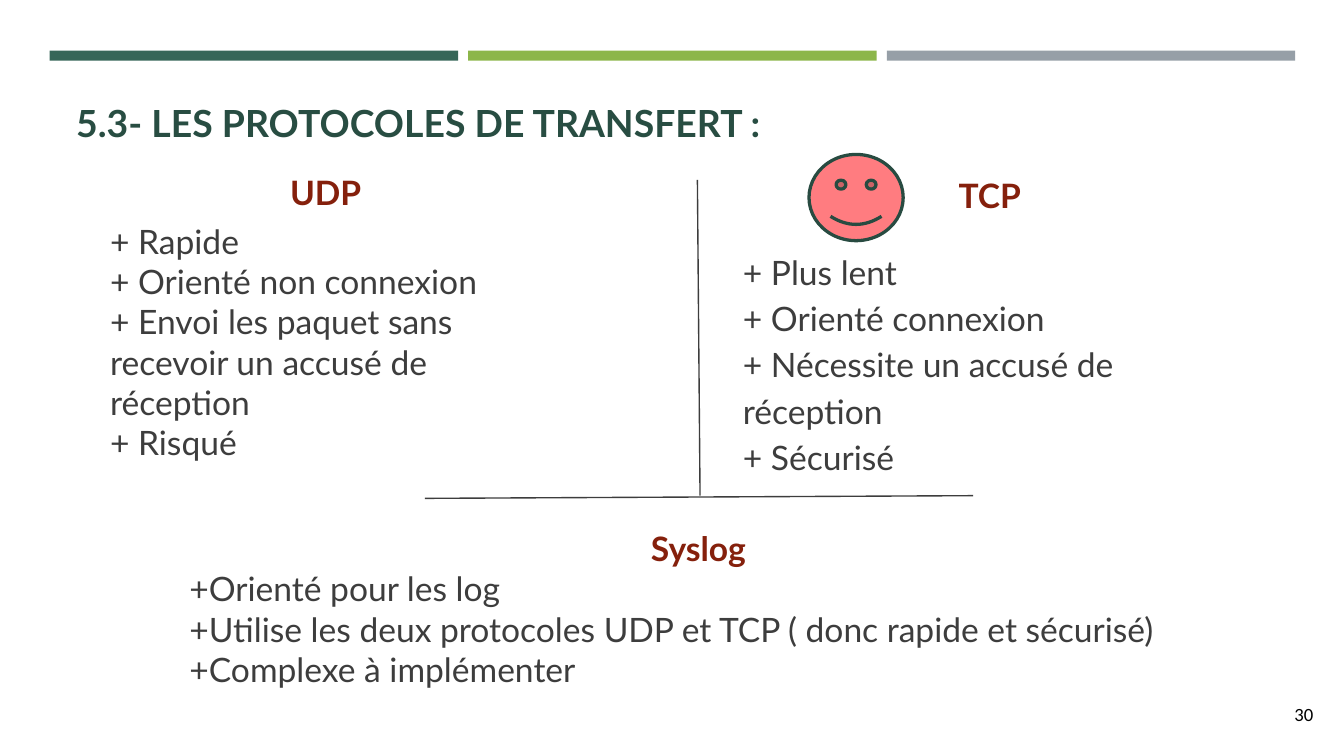
from dataclasses import dataclass

from lxml import etree
from pptx import Presentation
from pptx.dml.color import RGBColor
from pptx.enum.shapes import MSO_CONNECTOR, MSO_SHAPE
from pptx.enum.text import MSO_ANCHOR, MSO_AUTO_SIZE, PP_ALIGN
from pptx.oxml.ns import qn
from pptx.util import Cm, Pt

LEFT, CENTER, RIGHT = PP_ALIGN.LEFT, PP_ALIGN.CENTER, PP_ALIGN.RIGHT
TOP, MIDDLE = MSO_ANCHOR.TOP, MSO_ANCHOR.MIDDLE
NO_AUTO_SIZE = MSO_AUTO_SIZE.NONE
RECTANGLE, SMILEY = MSO_SHAPE.RECTANGLE, MSO_SHAPE.SMILEY_FACE
STRAIGHT = MSO_CONNECTOR.STRAIGHT
TWO_CONTENT_LAYOUT = 3


@dataclass(frozen=True)
class Theme:
    font: str = "Lato"
    number_font: str = "Calibri"
    title: str = "284D42"
    heading: str = "85200C"
    body: str = "3D3D3D"
    number: str = "000000"
    bars: tuple = ("366658", "8CB64A", "969FA7")
    face: str = "FF7C80"
    face_line: str = "284B41"
    title_size: int = 20
    body_size: int = 18
    number_size: int = 10


class SlideBuilder:
    def __init__(self, slide, theme):
        self.slide = slide
        self.theme = theme

    def place(self, shape, box, anchor=TOP):
        """Position a text shape and prepare its frame."""
        shape.left, shape.top, shape.width, shape.height = map(Cm, box)
        frame = shape.text_frame
        frame.word_wrap = True
        frame.auto_size = NO_AUTO_SIZE
        frame.vertical_anchor = anchor
        frame.margin_left = frame.margin_right = Cm(0.25)
        frame.margin_top = frame.margin_bottom = Cm(0.25)
        return frame

    def fill_paragraph(self, paragraph, text, color, size, bold=False,
                       align=LEFT, font=None, spacing=1.0, after=0, indent=0):
        paragraph.text = text
        paragraph.alignment = align
        paragraph.line_spacing = spacing
        paragraph.space_before = Pt(0)
        paragraph.space_after = Pt(after)
        paragraph.font.name = font or self.theme.font
        paragraph.font.size = Pt(size)
        paragraph.font.bold = bold
        paragraph.font.color.rgb = RGBColor.from_string(color)
        # Drop the bullet and set the left indent
        properties = paragraph._p.get_or_add_pPr()
        properties.set("marL", str(int(Cm(indent))))
        properties.set("indent", "0")
        properties.insert_element_before(
            etree.Element(qn("a:buNone")), "a:tabLst", "a:defRPr", "a:extLst")

    def text_box(self):
        return self.slide.shapes.add_textbox(0, 0, 0, 0)

    def title(self, text, box):
        frame = self.place(self.slide.shapes.title, box)
        self.fill_paragraph(frame.paragraphs[0], text, self.theme.title,
                            self.theme.title_size, bold=True, spacing=1.15,
                            after=16)

    def topic(self, shape, box, heading, points, indent=0, **layout):
        """A centred heading followed by its points."""
        frame = self.place(shape, box)
        size = self.theme.body_size
        self.fill_paragraph(frame.paragraphs[0], heading, self.theme.heading,
                            size, bold=True, align=CENTER, **layout)
        for point in points:
            self.fill_paragraph(frame.add_paragraph(), point, self.theme.body,
                                size, indent=indent, **layout)

    def page_number(self, text, box):
        frame = self.place(self.text_box(), box, MIDDLE)
        self.fill_paragraph(frame.paragraphs[0], text, self.theme.number,
                            self.theme.number_size, align=RIGHT,
                            font=self.theme.number_font)

    def shape(self, kind, box, fill, line=None):
        shape = self.slide.shapes.add_shape(kind, *map(Cm, box))
        shape.shadow.inherit = False
        shape.fill.solid()
        shape.fill.fore_color.rgb = RGBColor.from_string(fill)
        if line:
            shape.line.color.rgb = RGBColor.from_string(line)
            shape.line.width = Pt(1.75)
        else:
            shape.line.fill.background()

    def line(self, *ends):
        connector = self.slide.shapes.add_connector(STRAIGHT, *map(Cm, ends))
        connector.line.color.rgb = RGBColor.from_string(self.theme.body)
        connector.line.width = Pt(0.75)
        etree.SubElement(connector._element.spPr, qn("a:effectLst"))


def main():
    presentation = Presentation()
    presentation.slide_width, presentation.slide_height = Cm(25.4), Cm(14.29)
    layout = presentation.slide_layouts[TWO_CONTENT_LAYOUT]
    slide = presentation.slides.add_slide(layout)
    theme = Theme()
    builder = SlideBuilder(slide, theme)
    _, udp, tcp = slide.placeholders

    # Colour bars along the top
    for column, color in enumerate(theme.bars):
        builder.shape(RECTANGLE, (0.94 + 7.91 * column, 0.96, 7.72, 0.19), color)

    # Title and the two protocols side by side; \v breaks a line
    builder.title("5.3- LES PROTOCOLES DE TRANSFERT :", (1.19, 1.52, 22.99, 2.06))
    builder.topic(udp, (1.19, 3, 9.93, 6.05), "UDP", [
        "+ Rapide\v+ Orienté non connexion\v"
        "+ Envoi les paquet sans recevoir un accusé de réception\v+ Risqué",
    ], indent=0.64, after=4.5)
    builder.topic(tcp, (13.79, 2.95, 9.83, 6.1), "TCP", [
        "+ Plus lent\v+ Orienté connexion\v"
        "+ Nécessite un accusé de réception\v+ Sécurisé",
    ], spacing=1.15, after=16)

    # Dividing lines
    builder.line(13.18, 3.4, 13.23, 9.37)
    builder.line(18.39, 9.37, 8.03, 9.42)

    # Syslog, below both
    builder.topic(builder.text_box(), (3.33, 9.73, 19.74, 4.09), "Syslog", [
        "+Orienté pour les log",
        "+Utilise les deux protocoles UDP et TCP ( donc rapide et sécurisé)",
        "+Complexe à implémenter",
    ])

    # Page number and smiley
    builder.page_number("30", (23.55, 12.95, 1.52, 1.09))
    builder.shape(SMILEY, (15.29, 2.92, 1.78, 1.63), theme.face, theme.face_line)

    presentation.save("out.pptx")


if __name__ == "__main__":
    main()
